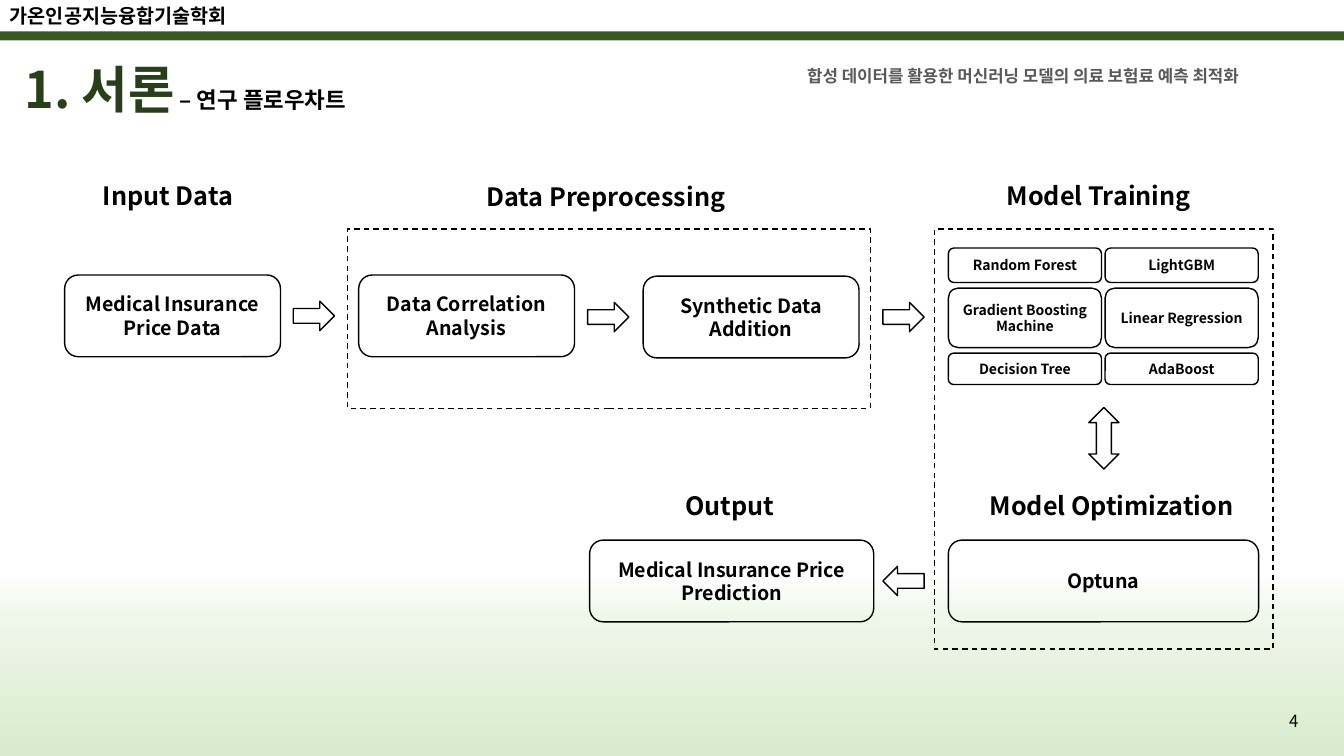
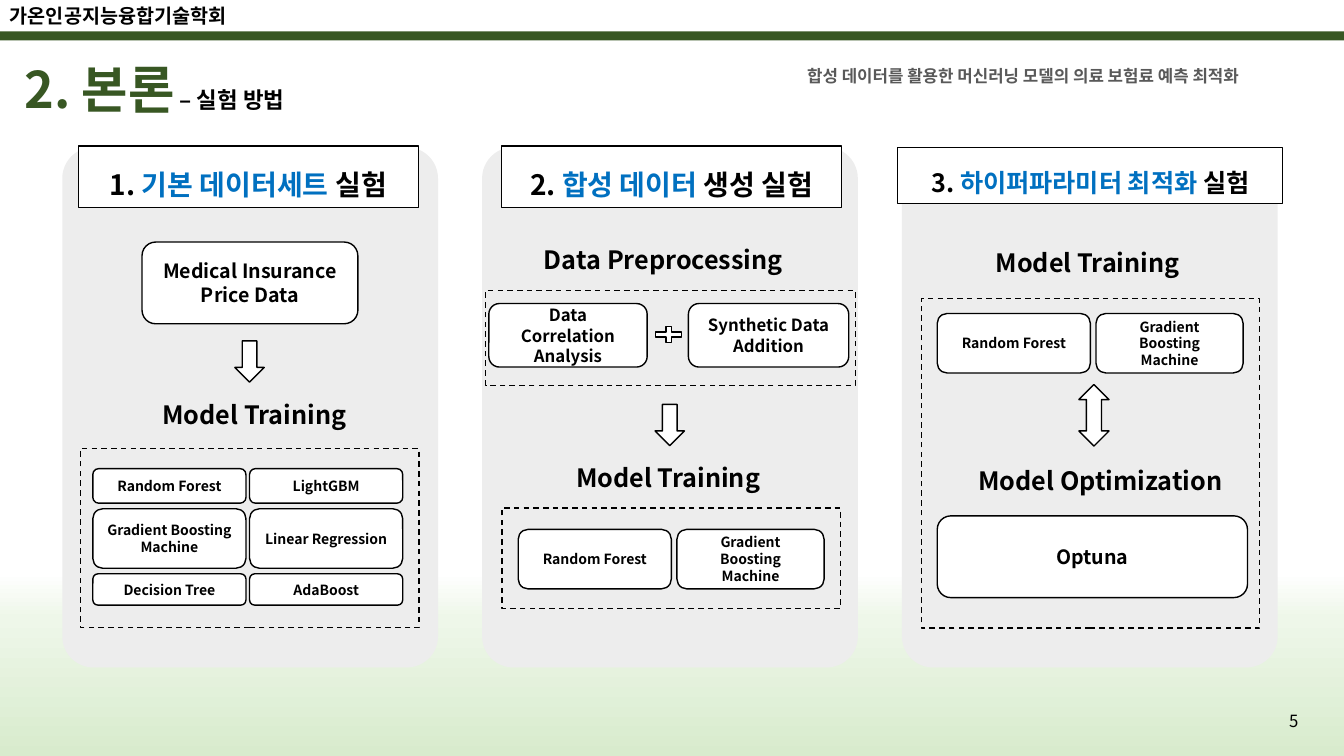
import copy
from dataclasses import dataclass
from typing import Optional

import pptx
import pptx.dml.color
import pptx.enum.dml
import pptx.enum.shapes
import pptx.enum.text
import pptx.oxml
import pptx.oxml.ns
import pptx.util

Cm, Pt, qn = pptx.util.Cm, pptx.util.Pt, pptx.oxml.ns.qn
SHAPE = pptx.enum.shapes.MSO_SHAPE
ALIGN = pptx.enum.text.PP_ALIGN
ANCHOR = pptx.enum.text.MSO_ANCHOR

# Shared look
FONT = "Noto Sans CJK KR"
BLACK, WHITE, GREEN, DARK_GREEN = "000000", "FFFFFF", "385723", "283F19"
BLUE, GREY, PANEL = "0070C0", "595959", "EDEDED"
FADE = ((0, "D8EBCD"), (0.75, "EEF7E9"), (1, "FFFFFF"))
PAGE_W, PAGE_H = 33.87, 19.05
SOCIETY = "가온인공지능융합기술학회"
PAPER = "합성 데이터를 활용한 머신러닝 모델의 의료 보험료 예측 최적화"

# Shared sizes of the flowchart parts
BOX_W, BOX_H = 5.44, 2.06
FRAME_W = 8.53
OPTUNA_W = 7.82
MODEL_W, MODEL_STEP, MODEL_H = 3.86, 3.95, 1.5
MODEL_ROWS = (
    (0, 0.87, ("Random Forest", "LightGBM")),
    (1.01, MODEL_H, ("Gradient Boosting Machine", "Linear Regression")),
    (2.65, 0.79, ("Decision Tree", "AdaBoost")),
)


@dataclass
class Box:
    text: str
    x: float
    y: float
    w: float = BOX_W
    h: float = BOX_H
    size: float = 14


@dataclass
class Label:
    text: str
    x: float
    y: float
    w: float = 5.38


@dataclass
class Frame:
    x: float
    y: float
    w: float
    h: float


@dataclass
class Sign:
    kind: SHAPE
    x: float
    y: float
    w: float
    h: float


@dataclass
class Header:
    number: str
    blue: str
    black: str
    x: float
    y: float = 3.68
    w: float = 8.56
    h: float = 1.55
    size: float = 20


def rgb(color: str) -> pptx.dml.color.RGBColor:
    return pptx.dml.color.RGBColor.from_string(color)


def style(p, size: float, color: str = BLACK, bold: bool = True, align=ALIGN.LEFT) -> None:
    """Set the font of a whole paragraph, East Asian face included."""
    p.alignment = align
    p.font.size = Pt(size)
    p.font.bold = bold
    p.font.name = FONT
    p.font.color.rgb = rgb(color)
    ea = p._p.pPr.find(qn("a:defRPr")).makeelement(qn("a:ea"), {"typeface": FONT})
    p._p.pPr.find(qn("a:defRPr")).find(qn("a:latin")).addnext(ea)


def add_run(p, text: str, color: str, size: float) -> None:
    r = p.add_run()
    r.text = text
    r.font.size = Pt(size)
    r.font.color.rgb = rgb(color)


def add_shape(s, kind: SHAPE, x: float, y: float, w: float, h: float,
              fill: Optional[str] = None, line: Optional[float] = 1):
    sp = s.shapes.add_shape(kind, Cm(x), Cm(y), Cm(w), Cm(h))
    sp.shadow.inherit = False
    if fill:
        sp.fill.solid()
        sp.fill.fore_color.rgb = rgb(fill)
    else:
        sp.fill.background()
    if line:
        sp.line.color.rgb = rgb(BLACK)
        sp.line.width = Pt(line)
    else:
        sp.line.fill.background()
    return sp


def add_text(s, text: str, x: float, y: float, w: float, h: float, size: float,
             color: str = BLACK, bold: bool = True, align=ALIGN.LEFT, anchor=ANCHOR.TOP):
    sp = s.shapes.add_textbox(Cm(x), Cm(y), Cm(w), Cm(h))
    tf = sp.text_frame
    tf.word_wrap = True
    tf.vertical_anchor = anchor
    tf.text = text
    style(tf.paragraphs[0], size, color, bold, align)
    return sp


def add_box(s, box: Box, fill: Optional[str]) -> None:
    sp = add_shape(s, SHAPE.ROUNDED_RECTANGLE, box.x, box.y, box.w, box.h, fill)
    sp.text_frame.text = box.text
    style(sp.text_frame.paragraphs[0], box.size, align=ALIGN.CENTER)


def add_frame(s, frame: Frame) -> None:
    sp = add_shape(s, SHAPE.RECTANGLE, frame.x, frame.y, frame.w, frame.h)
    sp.line.dash_style = pptx.enum.dml.MSO_LINE.DASH


def add_header(s, header: Header) -> None:
    sp = add_shape(s, SHAPE.RECTANGLE, header.x, header.y, header.w, header.h, WHITE, 0.75)
    tf = sp.text_frame
    tf.vertical_anchor = ANCHOR.TOP
    p = tf.paragraphs[0]
    style(p, header.size, align=ALIGN.CENTER)
    p.line_spacing = 1.5
    for text, color in ((header.number, BLACK), (header.blue, BLUE), (header.black, BLACK)):
        add_run(p, text, color, header.size)


def draw(s, parts: list, fill: Optional[str] = None) -> None:
    for part in parts:
        if isinstance(part, Box):
            add_box(s, part, fill)
        elif isinstance(part, Label):
            add_text(s, part.text, part.x, part.y, part.w, 1.02, 18)
        elif isinstance(part, Frame):
            add_frame(s, part)
        elif isinstance(part, Header):
            add_header(s, part)
        else:
            add_shape(s, part.kind, part.x, part.y, part.w, part.h, fill)


def model_grid(x: float, y: float) -> list:
    return [Box(name, x + col * MODEL_STEP, y + dy, MODEL_W, h, 10)
            for dy, h, names in MODEL_ROWS for col, name in enumerate(names)]


def model_pair(x: float, y: float) -> list:
    return [Box("Random Forest", x, y, MODEL_W, MODEL_H, 10),
            Box("Gradient Boosting Machine", x + 4, y, 3.71, MODEL_H, 10)]


def side_arrow(x: float, y: float, kind: SHAPE = SHAPE.RIGHT_ARROW) -> Sign:
    return Sign(kind, x, y, 1.04, 0.74)


def down_arrow(x: float, y: float) -> Sign:
    return Sign(SHAPE.DOWN_ARROW, x, y, 0.74, 1.04)


def two_way_arrow(x: float, y: float) -> Sign:
    return Sign(SHAPE.UP_DOWN_ARROW, x, y, 0.76, 1.55)


def build_master(prs, s) -> None:
    """Draw the bands and the society name, then move them to the master."""
    fade = add_shape(s, SHAPE.RECTANGLE, 0, 14.43, PAGE_W, 4.62, line=None)
    fade.fill.gradient()
    fade.fill.gradient_angle = 90
    stops = fade.element.spPr.find(".//" + qn("a:gsLst"))
    stops.append(copy.deepcopy(stops[-1]))
    for stop, (position, color) in zip(fade.fill.gradient_stops, FADE):
        stop.position = position
        stop.color.rgb = rgb(color)
    band = add_shape(s, SHAPE.RECTANGLE, 0, 0.79, PAGE_W, 0.23, GREEN, None)
    name = add_text(s, SOCIETY, 0, -0.03, 6.5, 0.86, 14)
    for number, sp in enumerate((fade, band, name), 101):
        sp.element.nvSpPr.cNvPr.set("id", str(number))
        prs.slide_master.shapes.element.append(sp.element)


def start_slide(s, heading: str, detail: str, color: str, page: int) -> None:
    """Title, paper name and page number."""
    title = s.shapes.title
    title.left, title.top, title.width, title.height = Cm(0.36), Cm(1.42), Cm(10.92), Cm(1.8)
    tf = title.text_frame
    tf.auto_size = pptx.enum.text.MSO_AUTO_SIZE.NONE
    tf.vertical_anchor = ANCHOR.MIDDLE
    p = tf.paragraphs[0]
    style(p, 36, color)
    p.line_spacing = 0.9
    add_run(p, heading, color, 36)
    add_run(p, " – " + detail, BLACK, 16)
    add_text(s, PAPER, 20.09, 1.52, 12.88, 0.76, 12, GREY)
    add_text(s, str(page), 25.35, 17.65, 7.62, 1.02, 12, bold=False,
             align=ALIGN.RIGHT, anchor=ANCHOR.MIDDLE)


def build_flowchart(s) -> None:
    start_slide(s, "1. 서론", "연구 플로우차트", DARK_GREEN, 4)
    draw(s, [
        # Input
        Label("Input Data", 2.34, 4.42, 3.99),
        Box("Medical Insurance Price Data", 1.63, 6.93),
        side_arrow(7.39, 7.59),
        # Preprocessing
        Label("Data Preprocessing", 12.01, 4.45, 6.65),
        Frame(8.76, 5.77, 13.18, 4.52),
        Box("Data Correlation Analysis", 9.04, 6.93),
        side_arrow(14.81, 7.62),
        Box("Synthetic Data Addition", 16.21, 6.96),
        side_arrow(22.25, 7.62),
        # Training and optimization
        Label("Model Training", 25.12, 4.42),
        Frame(23.55, 5.77, FRAME_W, 10.59),
        *model_grid(23.9, 6.25),
        two_way_arrow(27.44, 10.27),
        Label("Model Optimization", 24.69, 12.22, 7.01),
        Box("Optuna", 23.9, 13.61, OPTUNA_W),
        # Output
        side_arrow(22.25, 14.27, SHAPE.LEFT_ARROW),
        Label("Output", 17.02, 12.22, 2.84),
        Box("Medical Insurance Price Prediction", 14.86, 13.61, 7.16),
    ])


def build_methods(s) -> None:
    start_slide(s, "2. 본론", "실험 방법", GREEN, 5)
    for col in range(3):
        panel = add_shape(s, SHAPE.ROUNDED_RECTANGLE, 1.57 + col * 10.58, 3.71,
                          9.47, 13.11, PANEL, None)
        panel.adjustments[0] = 0.083
    draw(s, [
        # Experiment 1
        Header("1. ", "기본 데이터세트 ", "실험", 1.98),
        Box("Medical Insurance Price Data", 3.58, 6.1),
        down_arrow(5.92, 8.59),
        Label("Model Training", 3.84, 9.93),
        *model_grid(2.34, 11.81),
        Frame(2.03, 11.3, FRAME_W, 4.52),
        # Experiment 2
        Header("2. ", "합성 데이터", " 생성 실험", 12.65),
        Label("Data Preprocessing", 13.46, 6.02, 6.96),
        Frame(12.24, 7.32, 9.32, 2.39),
        Box("Data Correlation Analysis", 12.32, 7.65, 3.99, 1.6, 12),
        Sign(SHAPE.MATH_PLUS, 16.41, 8.15, 0.89, 0.56),
        Box("Synthetic Data Addition", 17.35, 7.65, 4.04, 1.6, 12),
        down_arrow(16.51, 10.19),
        Label("Model Training", 14.27, 11.53),
        *model_pair(13.06, 13.34),
        Frame(12.65, 12.8, FRAME_W, 2.54),
        # Experiment 3
        Header("3. ", "하이퍼파라미터 최적화 ", "실험", 22.63, 3.71, 9.7, 1.42, 18),
        Label("Model Training", 24.84, 6.1),
        Frame(23.22, 7.52, FRAME_W, 8.31),
        *model_pair(23.62, 7.9),
        two_way_arrow(27.19, 9.69),
        Label("Model Optimization", 24.41, 11.61, 7.01),
        Box("Optuna", 23.62, 13, OPTUNA_W),
    ], WHITE)


def main() -> None:
    prs = pptx.Presentation()
    prs.slide_width, prs.slide_height = Cm(PAGE_W), Cm(PAGE_H)
    title_only = prs.slide_layouts[5]
    flowchart, methods = (prs.slides.add_slide(title_only) for _ in range(2))
    build_master(prs, flowchart)
    build_flowchart(flowchart)
    build_methods(methods)
    prs.save("out.pptx")


if __name__ == "__main__":
    main()
